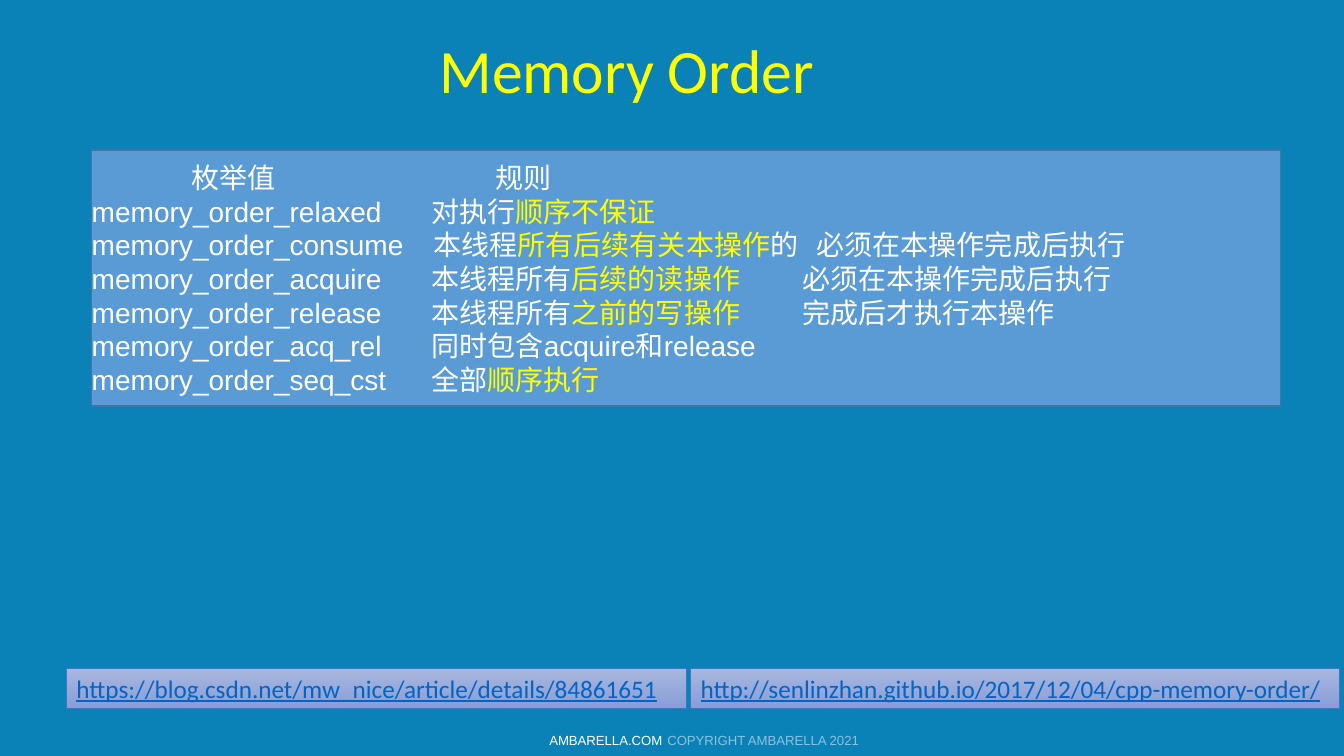
from lxml.etree import SubElement
from pptx import Presentation
from pptx.dml.color import RGBColor
from pptx.enum.shapes import MSO_SHAPE as Preset
from pptx.enum.text import MSO_ANCHOR as Anchor, PP_ALIGN as Align
from pptx.oxml.ns import qn
from pptx.util import Inches, Pt

COLORS = {
    "background": "0A82B7", "white": "FFFFFF", "yellow": "FFFF00",
    "panel": "5B9BD5", "panel_edge": "43739E",
    "link": "0563C1", "link_top": "A8B7DF", "link_bottom": "889ED7",
    "link_edge": "4472C4", "copyright": "8BC3DC",
}
TITLE = "Memory Order"
HEADER_STOPS = (0.99, 4.0)
RULE_STOPS = (3.37, 7.05)
ORDERS = [
    (HEADER_STOPS, [("\t枚举值\t规则", "white")]),
    (RULE_STOPS, [("memory_order_relaxed\t对执行", "white"), ("顺序不保证", "yellow")]),
    ((3.39, 7.19), [("memory_order_consume\t本线程", "white"),
                    ("所有后续有关本操作", "yellow"),
                    ("的\t必须在本操作完成后执行", "white")]),
    (RULE_STOPS, [("memory_order_acquire\t本线程所有", "white"),
                  ("后续的读操作", "yellow"), ("\t必须在本操作完成后执行", "white")]),
    (RULE_STOPS, [("memory_order_release\t本线程所有", "white"),
                  ("之前的写操作", "yellow"), ("\t完成后才执行本操作", "white")]),
    (RULE_STOPS, [("memory_order_acq_rel\t同时包含acquire和release", "white")]),
    (RULE_STOPS, [("memory_order_seq_cst\t全部", "white"), ("顺序执行", "yellow")]),
]
LINKS = [
    ("https://blog.csdn.net/mw_nice/article/details/84861651", 0.66, 6.15),
    ("http://senlinzhan.github.io/2017/12/04/cpp-memory-order/", 6.85, 6.43),
]
FOOTER = [
    ("AMBARELLA.COM", "white", 5.35, 1.4),
    ("COPYRIGHT AMBARELLA 2021", "copyright", 6.52, 2.28),
]


def color(name):
    return RGBColor.from_string(COLORS[name])


def add_run(paragraph, text, size, font, tint, underline=None):
    run = paragraph.add_run()
    run.text = text
    run.font.size = Pt(size)
    run.font.name = font
    run.font.color.rgb = color(tint)
    run.font.underline = underline


def add_text(slide, box):
    frame = slide.shapes.add_textbox(*map(Inches, box)).text_frame
    frame.word_wrap = True
    return frame


def add_box(slide, box, edge, width):
    shape = slide.shapes.add_shape(Preset.RECTANGLE, *map(Inches, box))
    shape.shadow.inherit = False
    shape.line.color.rgb = color(edge)
    shape.line.width = Pt(width)
    return shape


def set_tabs(paragraph, stops):
    tabs = SubElement(paragraph._p.get_or_add_pPr(), qn("a:tabLst"))
    for stop in stops:
        SubElement(tabs, qn("a:tab"), pos=str(Inches(stop)), algn="l")


def add_orders(slide):
    panel = add_box(slide, (0.91, 1.49, 11.79, 2.54), "panel_edge", 1)
    panel.fill.solid()
    panel.fill.fore_color.rgb = color("panel")
    frame = panel.text_frame
    frame.word_wrap = True
    frame.vertical_anchor = Anchor.MIDDLE
    frame.margin_left = frame.margin_right = 0
    frame.margin_top = frame.margin_bottom = Inches(0.1)
    for index, (stops, parts) in enumerate(ORDERS):
        paragraph = frame.add_paragraph() if index else frame.paragraphs[0]
        paragraph.alignment = Align.LEFT
        set_tabs(paragraph, stops)
        for text, tint in parts:
            add_run(paragraph, text, 20, "Arial", tint)


def add_link(slide, address, left, width):
    bar = add_box(slide, (left, 6.63, width, 0.4), "link_edge", 0.5)
    bar.fill.gradient()
    bar.fill.gradient_angle = 270
    for stop, tint in zip(bar.fill.gradient_stops, ("link_top", "link_bottom")):
        stop.color.rgb = color(tint)
    frame = bar.text_frame
    frame.word_wrap = False
    frame.vertical_anchor = Anchor.TOP
    frame.paragraphs[0].alignment = Align.LEFT
    add_run(frame.paragraphs[0], address, 18, "Calibri", "link", True)


def main():
    deck = Presentation()
    deck.slide_width, deck.slide_height = Inches(13.33), Inches(7.5)
    slide = deck.slides.add_slide(deck.slide_layouts[6])
    slide.background.fill.solid()
    slide.background.fill.fore_color.rgb = color("background")

    for text, tint, left, width in FOOTER:
        frame = add_text(slide, (left, 7.22, width, 0.36 - 0.08))
        add_run(frame.paragraphs[0], text, 9.4, "Arial", tint)

    heading = add_text(slide, (4.26, 0, 6.13, 1.45))
    heading.vertical_anchor = Anchor.MIDDLE
    heading.paragraphs[0].line_spacing = 0.9
    add_run(heading.paragraphs[0], TITLE, 44, "Calibri", "yellow")

    add_orders(slide)
    for address, left, width in LINKS:
        add_link(slide, address, left, width)
    deck.save("out.pptx")


if __name__ == "__main__":
    main()
